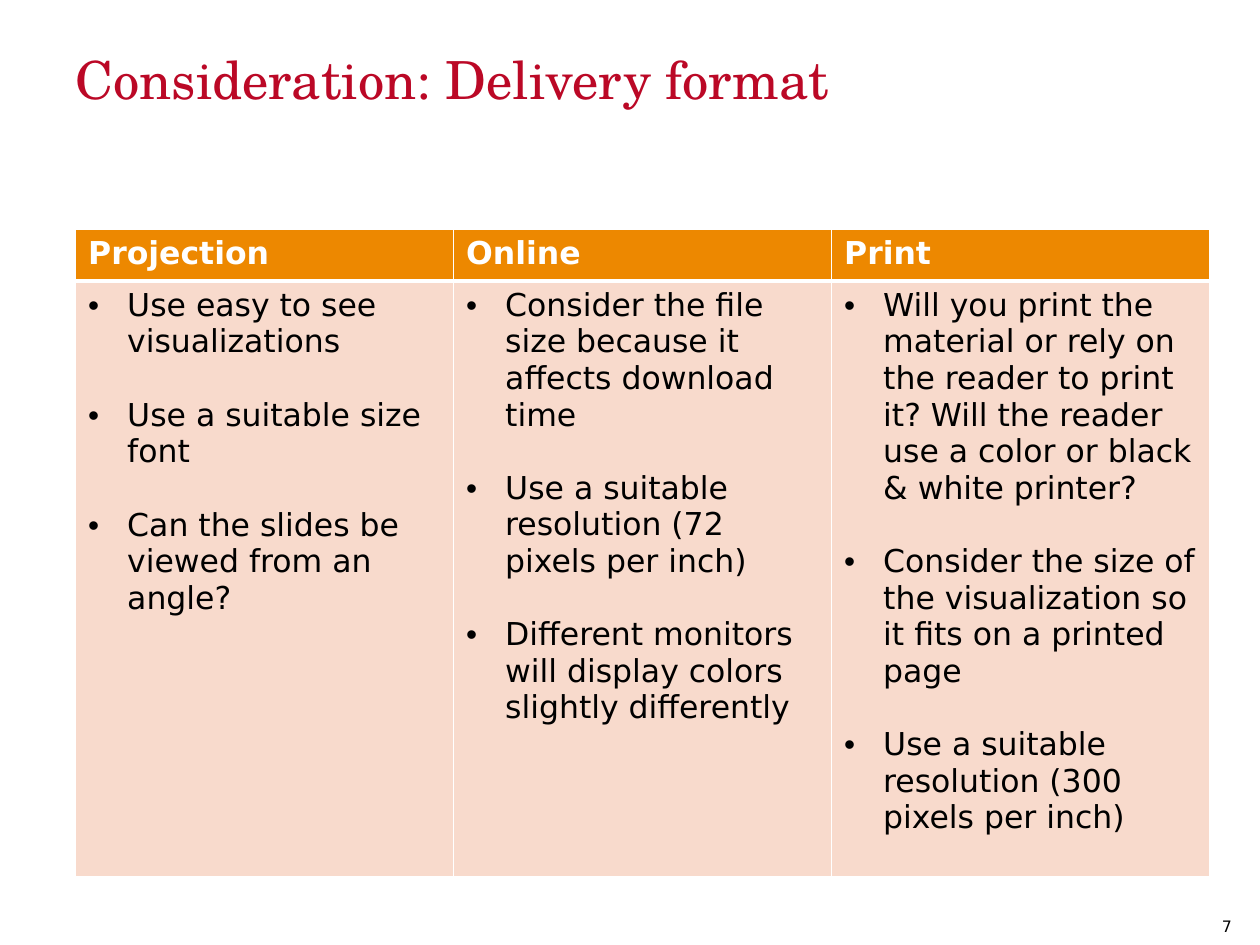
from lxml import etree
from pptx import Presentation
from pptx.dml.color import RGBColor
from pptx.enum.text import MSO_ANCHOR, PP_ALIGN
from pptx.oxml.ns import qn
from pptx.util import Inches, Pt

TOP = MSO_ANCHOR.TOP
LEFT = PP_ALIGN.LEFT
COLORS = {"title": "BB0826", "header": "ED8800", "body": "F8DACC",
          "white": "FFFFFF", "black": "000000"}
BODY_FONT = "DejaVu Sans"
TITLE_FONT = "TeX Gyre Schola"

FORMATS = {
    "Projection": ["Use easy to see visualizations",
                   "Use a suitable size font",
                   "Can the slides be viewed from an angle?"],
    "Online": ["Consider the file size because it affects download time",
               "Use a suitable resolution (72 pixels per inch)",
               "Different monitors will display colors slightly differently"],
    "Print": ["Will you print the material or rely on the reader to print it? "
              "Will the reader use a color or black & white printer?",
              "Consider the size of the visualization so it fits on a printed page",
              "Use a suitable resolution (300 pixels per inch)"],
}


def add_run(p, text, size, color, font=BODY_FONT, bold=False):
    r = p.add_run()
    r.text = text
    r.font.name = font
    r.font.size = Pt(size)
    r.font.bold = bold
    r.font.color.rgb = RGBColor.from_string(COLORS[color])


def style_cell(cell, fill, top, bottom):
    cell.fill.solid()
    cell.fill.fore_color.rgb = RGBColor.from_string(COLORS[fill])
    tcPr = cell._tc.get_or_add_tcPr()
    widths = {"lnL": 1, "lnR": 1, "lnT": top, "lnB": bottom}
    for i, (side, width) in enumerate(widths.items()):
        ln = etree.Element(qn("a:" + side), w=str(Pt(width)))
        solid = etree.SubElement(ln, qn("a:solidFill"))
        etree.SubElement(solid, qn("a:srgbClr"), val=COLORS["white"])
        tcPr.insert(i, ln)


prs = Presentation()
prs.slide_width = Inches(10)
prs.slide_height = Inches(7.5)
s = prs.slides.add_slide(prs.slide_layouts[5])

# Title
title = s.shapes.title
title.left, title.top = Inches(0.6), Inches(0.35)
title.width, title.height = Inches(9), Inches(1.25)
tf = title.text_frame
tf.margin_left = tf.margin_right = tf.margin_top = tf.margin_bottom = 0
tf.vertical_anchor = TOP
tf.word_wrap = True
p = tf.paragraphs[0]
p.alignment = LEFT
p.line_spacing = 1.05
add_run(p, "Consideration: Delivery format", 30, "title", TITLE_FONT)

# Table of delivery formats
table = s.shapes.add_table(2, len(FORMATS), Inches(0.6), Inches(1.82),
                           Inches(9), Inches(5.14)).table
table.rows[0].height = Inches(0.41)
table.rows[1].height = Inches(4.73)

for col, (name, points) in enumerate(FORMATS.items()):
    table.columns[col].width = Inches(3)
    head, body = table.cell(0, col), table.cell(1, col)
    style_cell(head, "header", 1, 3)
    style_cell(body, "body", 3, 1)
    add_run(head.text_frame.paragraphs[0], name, 18, "white", bold=True)

    # Bulleted points, one line apart
    tf = body.text_frame
    for i, point in enumerate(points):
        p = tf.add_paragraph() if i else tf.paragraphs[0]
        pPr = p._p.get_or_add_pPr()
        pPr.set("marL", str(Inches(0.31)))
        pPr.set("indent", str(-Inches(0.31)))
        etree.SubElement(pPr, qn("a:buFont"), typeface="Arial")
        etree.SubElement(pPr, qn("a:buChar"), char="•")
        if i:
            p.space_before = Pt(21)
        add_run(p, point, 18, "black")

# Slide number
sp = s.shapes.add_textbox(Inches(9.6), Inches(7.23), Inches(0.4), Inches(0.27))
sp.text_frame.word_wrap = True
add_run(sp.text_frame.paragraphs[0], "7", 9, "black")

prs.save("out.pptx")
